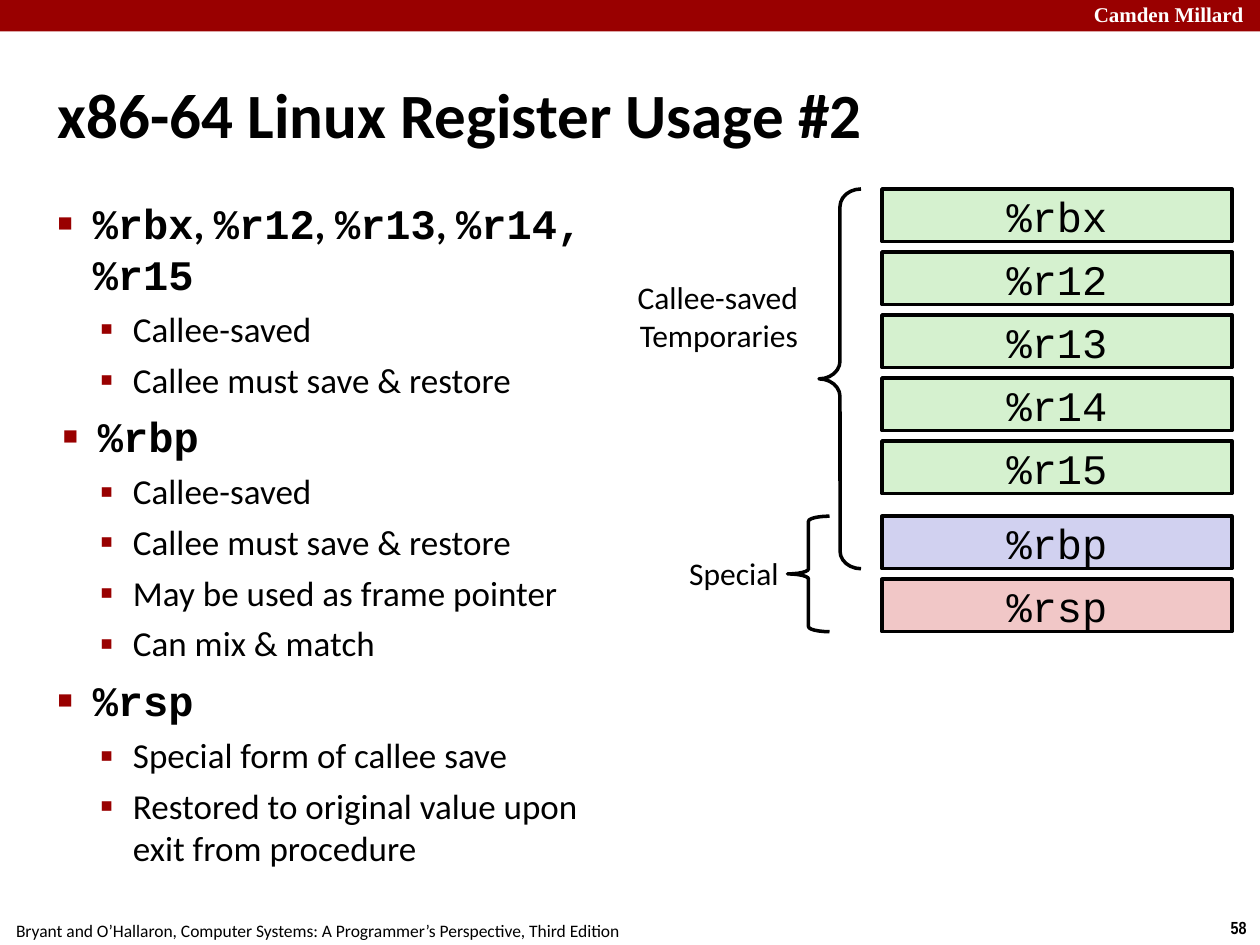
from lxml import etree
from pptx import Presentation
from pptx.dml.color import RGBColor
from pptx.enum import shapes, text
from pptx.oxml import ns
from pptx.util import Pt

RED = RGBColor(0x99, 0x00, 0x00)
BLACK = RGBColor(0x00, 0x00, 0x00)
WHITE = RGBColor(0xFF, 0xFF, 0xFF)
GREEN = RGBColor(0xD5, 0xF1, 0xCF)
BLUE = RGBColor(0xD1, 0xD1, 0xF0)
PINK = RGBColor(0xF1, 0xC7, 0xC7)
SANS, MONO, SERIF, NARROW = "Calibri", "Courier New", "Times New Roman", "Arial Narrow"
LEFT, CENTER, RIGHT = text.PP_ALIGN.LEFT, text.PP_ALIGN.CENTER, text.PP_ALIGN.RIGHT
TOP, MIDDLE = text.MSO_ANCHOR.TOP, text.MSO_ANCHOR.MIDDLE
HEAD = {"size": 24, "bold": True, "before": 6, "indent": -20, "bullet": "■", "scale": 60}
SUB = {"size": 20, "bold": False, "before": 5, "indent": -19, "bullet": "▪", "scale": 110}
REGISTER_LIST = [
    ("%rbx", MONO), (", ", SANS), ("%r12", MONO), (", ", SANS),
    ("%r13", MONO), (", ", SANS), ("%r14, %r15", MONO),
]
TOPICS = [
    (REGISTER_LIST, 20, ["Callee-saved", "Callee must save & restore"]),
    ([("%rbp", MONO)], 23, ["Callee-saved", "Callee must save & restore",
                            "May be used as frame pointer", "Can mix & match"]),
    ([("%rsp", MONO)], 20, ["Special form of callee save",
                            "Restored to original value upon exit from procedure"]),
]


def set_attrs(obj, values):
    """Set each named attribute on an object."""
    for name, value in values.items():
        setattr(obj, name, value)


def place(sp, box):
    """Move a shape to a box given in points."""
    set_attrs(sp, dict(zip(("left", "top", "width", "height"), map(Pt, box))))


def set_frame(tf, inset, anchor, wrap=True):
    """Set the insets, anchor and wrapping of a text frame."""
    sides = ("margin_left", "margin_top", "margin_right", "margin_bottom")
    set_attrs(tf, dict.fromkeys(sides, Pt(inset)))
    set_attrs(tf, {"vertical_anchor": anchor, "word_wrap": wrap,
                   "auto_size": text.MSO_AUTO_SIZE.NONE})


def add_run(p, words, font, size, color=BLACK, bold=False):
    """Append a formatted run to a paragraph."""
    r = p.add_run()
    r.text = words
    set_attrs(r.font, {"name": font, "size": Pt(size), "bold": bold})
    r.font.color.rgb = color


def add_label(s, box, lines, font, size, align, inset=3, color=BLACK, bold=False, wrap=False):
    """Add a text box with one paragraph per line."""
    tf = s.shapes.add_textbox(*map(Pt, box)).text_frame
    set_frame(tf, inset, TOP, wrap)
    for i, line in enumerate(lines):
        p = tf.add_paragraph() if i else tf.paragraphs[0]
        p.alignment = align
        add_run(p, line, font, size, color, bold)


def set_bullet(p, margin, style):
    """Give a paragraph its spacing, hanging indent and red bullet."""
    p.space_before = Pt(style["before"])
    pPr = p._p.get_or_add_pPr()
    pPr.set("marL", str(Pt(margin)))
    pPr.set("indent", str(Pt(style["indent"])))
    clr = etree.SubElement(pPr, ns.qn("a:buClr"))
    etree.SubElement(clr, ns.qn("a:srgbClr"), val=str(RED))
    etree.SubElement(pPr, ns.qn("a:buSzPct"), val=str(style["scale"] * 1000))
    etree.SubElement(pPr, ns.qn("a:buChar"), char=style["bullet"])


def add_page_frame(s, box):
    """Draw the top band, its label, the footer and the page number."""
    x, y, w, h = box
    band = s.shapes.add_shape(shapes.MSO_SHAPE.RECTANGLE, *map(Pt, (x, y, w, 18)))
    band.shadow.inherit = False
    band.fill.solid()
    band.fill.fore_color.rgb = RED
    band.line.fill.background()
    add_label(s, (x + w - 98, y - 2, 104, 20), ["Camden Millard"], SERIF, 12, LEFT,
              color=WHITE, bold=True, wrap=True)
    footer = "Bryant and O’Hallaron, Computer Systems: A Programmer’s Perspective, Third Edition"
    add_label(s, (x - 1.5, y + h - 18, 366, 19), [footer], SANS, 10, CENTER, 3.6)
    add_label(s, (x + w - 24.5, y + h - 19.5, 24.5, 19), ["58"], NARROW, 10, CENTER, 3.6, bold=True)


def add_title(s, box):
    """Fill the title placeholder."""
    sp = s.shapes.title
    place(sp, box)
    set_frame(sp.text_frame, 3, MIDDLE)
    p = sp.text_frame.paragraphs[0]
    p.alignment = LEFT
    add_run(p, "x86-64 Linux Register Usage #2", SANS, 36, bold=True)


def add_topics(s, box):
    """Fill the body placeholder with the two-level list."""
    sp = s.placeholders[1]
    place(sp, box)
    tf = sp.text_frame
    set_frame(tf, 3, TOP)
    rows = []
    for runs, margin, details in TOPICS:
        rows.append((0, runs, margin, HEAD))
        rows += [(1, [(detail, SANS)], 43, SUB) for detail in details]
    for i, (level, runs, margin, style) in enumerate(rows):
        p = tf.add_paragraph() if i else tf.paragraphs[0]
        p.level = level
        set_bullet(p, margin, style)
        for words, font in runs:
            add_run(p, words, font, style["size"], bold=style["bold"])


def add_register(s, box, name, color):
    """Draw one register cell."""
    sp = s.shapes.add_shape(shapes.MSO_SHAPE.RECTANGLE, *map(Pt, box))
    sp.shadow.inherit = False
    sp.fill.solid()
    sp.fill.fore_color.rgb = color
    sp.line.color.rgb = BLACK
    sp.line.width = Pt(2)
    set_frame(sp.text_frame, 0, MIDDLE)
    p = sp.text_frame.paragraphs[0]
    p.alignment = CENTER
    add_run(p, name, MONO, 24)


def add_brace(s, box, curl):
    """Draw a left brace whose curl is a share of its width."""
    sp = s.shapes.add_shape(shapes.MSO_SHAPE.LEFT_BRACE, *map(Pt, box))
    sp.shadow.inherit = False
    sp.fill.background()
    sp.line.color.rgb = BLACK
    sp.line.width = Pt(2)
    sp.adjustments[0] = curl


def add_register_diagram(s, box):
    """Stack the registers at the right of the box and brace the groups."""
    x, y, w, h = box
    cell_w, cell_h, pitch = 200, 30, 36
    special = h - pitch - cell_h
    cells = [(name, GREEN, i * pitch)
             for i, name in enumerate(("%rbx", "%r12", "%r13", "%r14", "%r15"))]
    cells += [("%rbp", BLUE, special), ("%rsp", PINK, special + pitch)]
    for name, color, offset in cells:
        add_register(s, (x + w - cell_w, y + offset, cell_w, cell_h), name, color)
    add_brace(s, (x + 108, y, 24, special + cell_h), 0.42)
    add_brace(s, (x + 90, y + special, 24, h - special), 0.12)
    add_label(s, (x, y + 48, 99, 50), ["Callee-saved", "Temporaries"], SANS, 18, RIGHT)
    add_label(s, (x + 28, y + 205.5, 60, 28), ["Special"], SANS, 18, RIGHT)


def main():
    """Build and save the slide."""
    prs = Presentation()
    set_attrs(prs, {"slide_width": Pt(720), "slide_height": Pt(540)})
    s = prs.slides.add_slide(prs.slide_layouts[1])
    add_page_frame(s, (0, 0, 720, 540))
    add_title(s, (30, 20, 474, 90))
    add_topics(s, (30, 110, 320, 346))
    add_register_diagram(s, (360, 108, 344, 253))
    prs.save("out.pptx")


if __name__ == "__main__":
    main()
